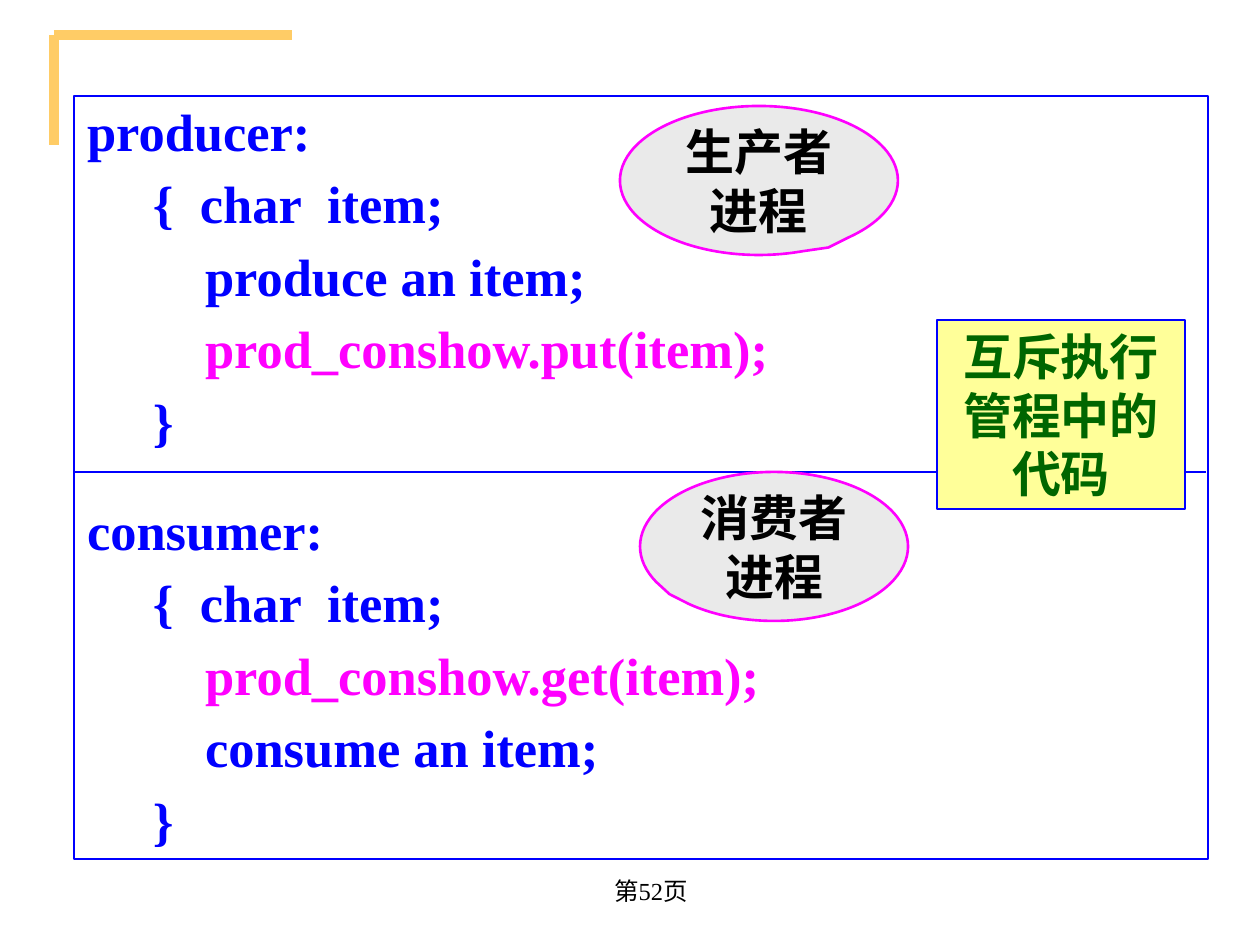
from dataclasses import dataclass
from pptx import Presentation
from pptx.dml.color import RGBColor as Rgb
from pptx.enum.shapes import MSO_CONNECTOR as Link, MSO_SHAPE as Kind
from pptx.enum.text import MSO_ANCHOR as Anchor, MSO_AUTO_SIZE as Fit, PP_ALIGN as Align
from pptx.util import Pt
from pptx.oxml.ns import qn
from lxml.etree import SubElement as Sub

SCALE = 914400 / 126


@dataclass(frozen=True)
class Theme:
    font: str = "Times New Roman"
    blue: str = "0000FF"
    pink: str = "FF00FF"
    gold: str = "FFCC66"
    green: str = "006600"
    cream: str = "FFFF99"
    gray: str = "EAEAEA"
    black: str = "000000"
    code: int = 30
    label: int = 28
    foot: int = 14
    edge: float = 1.5
    bar: int = 6


THEME = Theme()
CODE = [
    (0, "producer:", False),
    (66, "{  char  item;", False),
    (118, "produce an item;", False),
    (118, "prod_conshow.put(item);", True),
    (66, "}", False),
    (0, "consumer:", False),
    (66, "{  char  item;", False),
    (118, "prod_conshow.get(item);", True),
    (118, "consume an item;", False),
    (66, "}", False),
]


def px(n):
    return round(n * SCALE)


def place(shape, box):
    shape.left, shape.top, shape.width, shape.height = map(px, box)


def style(para, size, color, bold=True):
    for run in para.runs:
        font = run.font
        font.name, font.size, font.bold = THEME.font, Pt(size), bold
        font.color.rgb = Rgb.from_string(color)


def outline(shape, color, width=THEME.edge):
    shape.line.color.rgb = Rgb.from_string(color)
    shape.line.width = Pt(width)


def rule(slide, x1, y1, x2, y2, color, width):
    line = slide.shapes.add_connector(Link.STRAIGHT, *map(px, (x1, y1, x2, y2)))
    outline(line, color, width)
    Sub(line._element.spPr, qn("a:effectLst"))


def corner(slide, box):
    x, y, w, h = box
    for right, low in ((x + w, y), (x, y + h)):
        rule(slide, x, y, right, low, THEME.gold, THEME.bar)


def panel(slide, box):
    body = slide.placeholders[1]
    place(body, box)
    outline(body, THEME.blue)
    frame = body.text_frame
    frame.auto_size, frame.vertical_anchor = Fit.NONE, Anchor.TOP
    frame.margin_left, frame.margin_top = px(13), px(10)
    frame.text = "\n".join(text for _, text, _ in CODE)
    for i, (para, (shift, text, hot)) in enumerate(zip(frame.paragraphs, CODE)):
        props = para._p.get_or_add_pPr()
        props.set("marL", str(px(shift)))
        props.set("indent", "0")
        Sub(props, qn("a:buNone"))
        para.line_spacing = 0.9
        gap = 30 if text == "consumer:" else 9
        para.space_before = Pt(gap if i else 0)
        style(para, THEME.code, THEME.pink if hot else THEME.blue)
    x, y, w, h = box
    rule(slide, x, y + 376, x + w - 2, y + 376, THEME.blue, THEME.edge)


def label(slide, kind, box, text, fill, edge, color, anchor):
    shape = slide.shapes.add_shape(kind, *map(px, box))
    shape.shadow.inherit = False
    shape.fill.solid()
    shape.fill.fore_color.rgb = Rgb.from_string(fill)
    outline(shape, edge)
    frame = shape.text_frame
    frame.word_wrap, frame.vertical_anchor = True, anchor
    frame.text = text
    for para in frame.paragraphs:
        para.alignment = Align.CENTER
        style(para, THEME.label, color)
    return shape


def bubble(slide, box, text, tip):
    shape = label(slide, Kind.OVAL_CALLOUT, box, text, THEME.gray,
                  THEME.pink, THEME.black, Anchor.MIDDLE)
    shape.adjustments[0], shape.adjustments[1] = tip


def footer(slide, box, text):
    frame = slide.shapes.add_textbox(*map(px, box)).text_frame
    frame.word_wrap, frame.vertical_anchor = True, Anchor.MIDDLE
    frame.text = text
    para = frame.paragraphs[0]
    para.alignment = Align.CENTER
    style(para, THEME.foot, THEME.black, False)


def main():
    deck = Presentation()
    deck.slide_width, deck.slide_height = px(1260), px(945)
    slide = deck.slides.add_slide(deck.slide_layouts[1])
    title = slide.shapes.title._element
    title.getparent().remove(title)
    corner(slide, (54, 35, 238, 110))
    panel(slide, (74, 96, 1134, 763))
    label(slide, Kind.RECTANGLE, (937, 320, 248, 189), "互斥执行\n管程中的\n代码",
          THEME.cream, THEME.blue, THEME.green, Anchor.TOP)
    bubble(slide, (640, 472, 268, 149), "消费者进程", (-0.39, 0.32))
    bubble(slide, (620, 106, 278, 149), "生产者进程", (0.25, 0.45))
    footer(slide, (520, 859, 262, 63), "第52页")
    deck.save("out.pptx")


if __name__ == "__main__":
    main()
